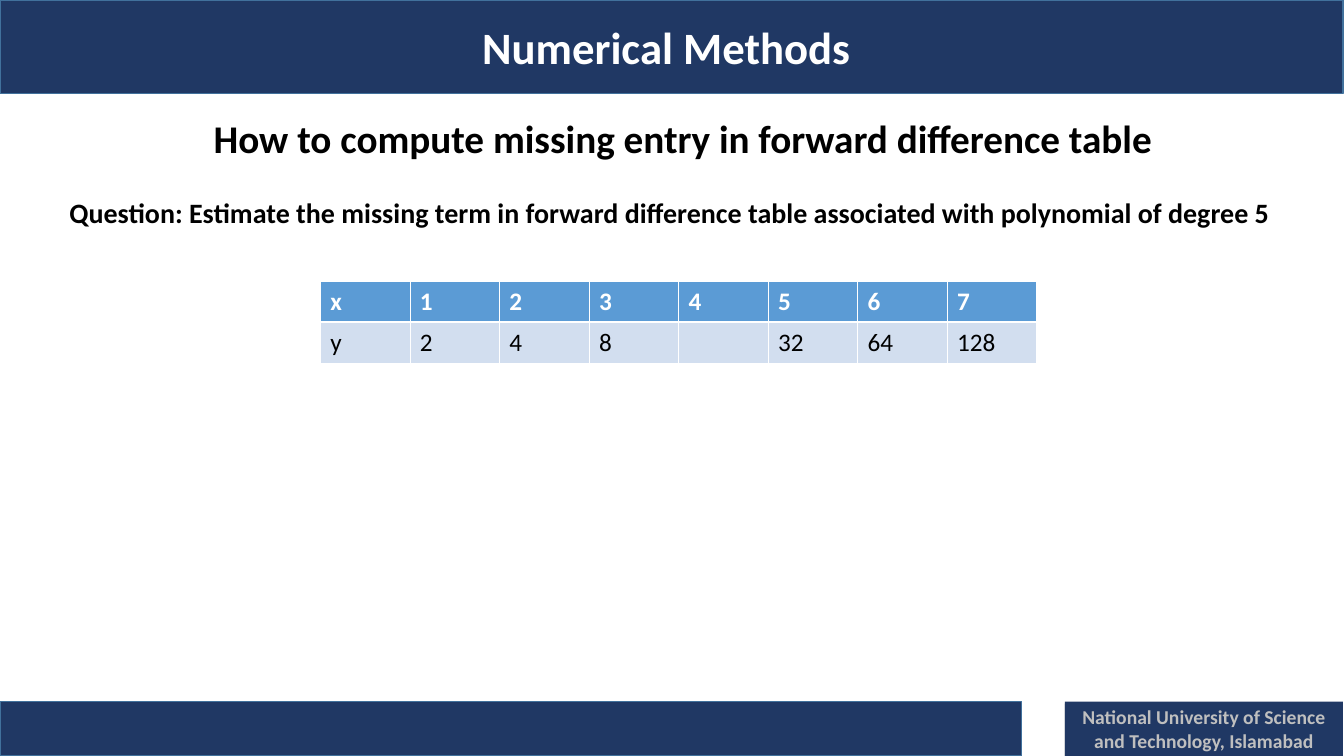
from dataclasses import dataclass
from lxml.etree import SubElement
from pptx import Presentation
from pptx.dml.color import RGBColor as Color
from pptx.enum.shapes import MSO_SHAPE as Shape
from pptx.enum.text import MSO_ANCHOR as Anchor, MSO_AUTO_SIZE as AutoSize, PP_ALIGN as Align
from pptx.oxml.ns import qn
from pptx.util import Emu, Pt


@dataclass(frozen=True)
class Theme:
    font: str = "Calibri"
    navy: str = "203864"
    outline: str = "41719C"
    header: str = "5B9BD5"
    body: str = "D2DEEF"
    white: str = "FFFFFF"
    black: str = "000000"
    grey: str = "BFBFBF"
    course_size: int = 32
    title_size: int = 28
    question_size: int = 20
    table_size: int = 18
    footer_size: int = 14
    thin: float = 0.45
    thick: float = 1.47


THEME = Theme()
EMU_PER_PX = 9144
X_VALUES = ["x", "1", "2", "3", "4", "5", "6", "7"]
Y_VALUES = ["y", "2", "4", "8", "", "32", "64", "128"]


def px(*lengths):
    return [Emu(length * EMU_PER_PX) for length in lengths]


def write(frame, text, size, color, bold=True, align=Align.LEFT):
    para = frame.paragraphs[0]
    para.alignment = align
    span = para.add_run()
    span.text = text
    span.font.name = THEME.font
    span.font.size = Pt(size)
    span.font.bold = bold
    span.font.color.rgb = Color.from_string(color)


def add_bar(page, area, outlined=True):
    bar = page.shapes.add_shape(Shape.RECTANGLE, *px(*area))
    bar.shadow.inherit = False
    bar.fill.solid()
    bar.fill.fore_color.rgb = Color.from_string(THEME.navy)
    if outlined:
        bar.line.color.rgb = Color.from_string(THEME.outline)
        bar.line.width = Pt(1)
    else:
        bar.line.fill.background()
    bar.text_frame.word_wrap = True
    bar.text_frame.vertical_anchor = Anchor.MIDDLE
    return bar


def add_drop_shadow(bar):
    effects = bar._element.spPr.find(qn("a:effectLst"))
    shadow = SubElement(effects, qn("a:outerShdw"), blurRad="0", dist=str(Pt(1.5)),
                        dir="5400000", algn="ctr", rotWithShape="0")
    color = SubElement(shadow, qn("a:srgbClr"), val=THEME.black)
    SubElement(color, qn("a:alpha"), val="63000")


def set_title(page, text, area):
    title = page.shapes.title
    title.left, title.top, title.width, title.height = px(*area)
    frame = title.text_frame
    frame.word_wrap = False
    frame.auto_size = AutoSize.NONE
    frame.vertical_anchor = Anchor.TOP
    write(frame, text, THEME.title_size, THEME.black)


def add_line_of_text(page, text, area, size):
    box = page.shapes.add_textbox(*px(*area))
    box.text_frame.word_wrap = False
    write(box.text_frame, text, size, THEME.black)


def set_borders(cell, top, bottom):
    properties = cell._tc.get_or_add_tcPr()
    widths = {"a:lnL": THEME.thin, "a:lnR": THEME.thin, "a:lnT": top, "a:lnB": bottom}
    for position, (tag, width) in enumerate(widths.items()):
        line = SubElement(properties, qn(tag), w=str(Pt(width)))
        fill = SubElement(line, qn("a:solidFill"))
        SubElement(fill, qn("a:srgbClr"), val=THEME.white)
        properties.insert(position, line)


def fill_row(table, index, values, fill, color, bold, top, bottom):
    for cell, value in zip(table.rows[index].cells, values):
        cell.fill.solid()
        cell.fill.fore_color.rgb = Color.from_string(fill)
        set_borders(cell, top, bottom)
        if value:
            write(cell.text_frame, value, THEME.table_size, color, bold)
        else:
            cell.text_frame.paragraphs[0].font.size = Pt(THEME.table_size)


def add_value_table(page, area):
    table = page.shapes.add_table(2, len(X_VALUES), *px(*area)).table
    fill_row(table, 0, X_VALUES, THEME.header, THEME.white, True, THEME.thin, THEME.thick)
    fill_row(table, 1, Y_VALUES, THEME.body, THEME.black, False, THEME.thick, THEME.thin)


def main():
    deck = Presentation()
    deck.slide_width, deck.slide_height = px(1334, 750)
    page = deck.slides.add_slide(deck.slide_layouts[5])

    course = add_bar(page, (0, 0, 1333, 93))
    write(course.text_frame, "Numerical Methods ", THEME.course_size, THEME.white,
          align=Align.CENTER)
    add_bar(page, (0, 696, 1014, 54))
    school = add_bar(page, (1057, 696, 276, 54), outlined=False)
    add_drop_shadow(school)
    write(school.text_frame, "National University of Science and Technology, Islamabad",
          THEME.footer_size, THEME.grey, align=Align.CENTER)

    set_title(page, "How to compute missing entry in forward difference table",
              (202, 108, 955, 117))
    add_value_table(page, (318, 279, 711, 81))
    add_line_of_text(page, "Question: Estimate the missing term in forward difference table "
                     "associated with polynomial of degree 5",
                     (59, 189, 1216, 44), THEME.question_size)
    deck.save("out.pptx")


if __name__ == "__main__":
    main()
